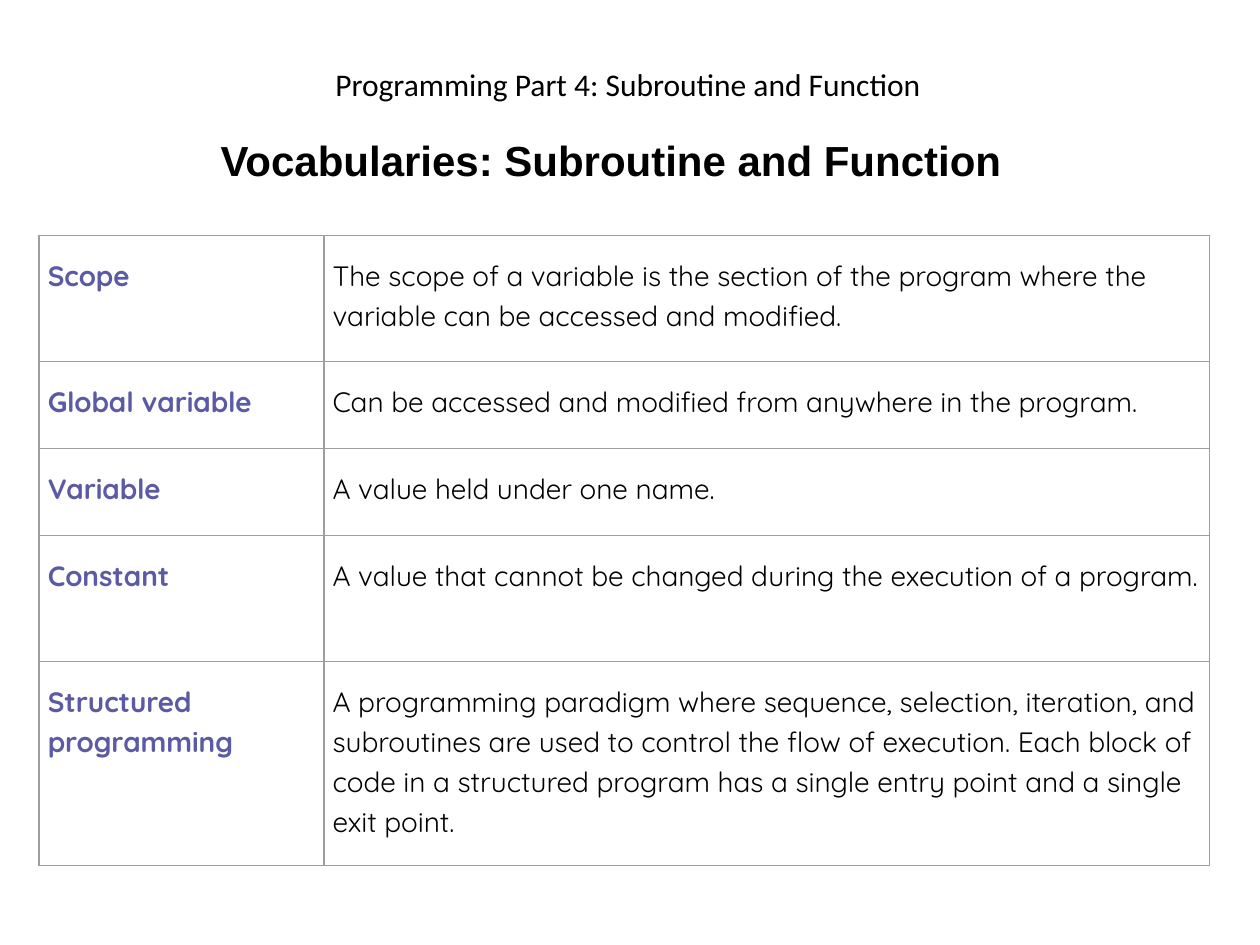
from typing import NamedTuple

from lxml.etree import SubElement
from pptx import Presentation
from pptx.dml.color import RGBColor
from pptx.enum.text import MSO_ANCHOR, PP_ALIGN
from pptx.oxml.ns import qn
from pptx.util import Inches, Pt

BLACK = RGBColor(0x00, 0x00, 0x00)
PURPLE = RGBColor(0x5B, 0x5B, 0xA5)
BORDER_GRAY = RGBColor(0x9E, 0x9E, 0x9E)

COLUMN_WIDTHS = (2.26, 7.03)


class Entry(NamedTuple):
    term: str
    definition: str
    height: float


ENTRIES = (
    Entry("Scope",
          "The scope of a variable is the section of the program where the "
          "variable can be accessed and modified.", 1),
    Entry("Global variable",
          "Can be accessed and modified from anywhere in the program.", 0.69),
    Entry("Variable", "A value held under one name.", 0.69),
    Entry("Constant",
          "A value that cannot be changed during the execution of a program.", 1),
    Entry("Structured programming",
          "A programming paradigm where sequence, selection, iteration, and "
          "subroutines are used to control the flow of execution. Each block of "
          "code in a structured program has a single entry point and a single "
          "exit point.", 1.62),
)


def write_text(frame, text: str, *, font: str, size: float, color=BLACK,
               bold=False, align=PP_ALIGN.LEFT, line_spacing=1.0) -> None:
    frame.word_wrap = True
    paragraph = frame.paragraphs[0]
    paragraph.alignment = align
    paragraph.line_spacing = line_spacing
    run = paragraph.add_run()
    run.text = text
    run.font.name = font
    run.font.size = Pt(size)
    run.font.bold = bold
    run.font.color.rgb = color


def add_borders(cell, color: RGBColor, width: float) -> None:
    """Outline all four sides; call before the fill, which must follow in the XML."""
    properties = cell._tc.get_or_add_tcPr()
    for side in ("a:lnL", "a:lnR", "a:lnT", "a:lnB"):
        line = SubElement(properties, qn(side), w=str(Pt(width)))
        fill = SubElement(line, qn("a:solidFill"))
        SubElement(fill, qn("a:srgbClr"), val=str(color))


def fill_cell(cell, text: str, color: RGBColor, bold: bool) -> None:
    add_borders(cell, BORDER_GRAY, 1)
    cell.fill.background()
    cell.margin_left = cell.margin_right = Inches(0.07)
    cell.margin_top = cell.margin_bottom = Inches(0.14)
    cell.vertical_anchor = MSO_ANCHOR.TOP
    write_text(cell.text_frame, text, font="Quicksand", size=16,
               color=color, bold=bold, line_spacing=1.15)


def add_title(slide) -> None:
    title = slide.shapes.title
    title.left, title.top = Inches(0.39), Inches(0.16)
    title.width, title.height = Inches(9.32), Inches(1.02)
    frame = title.text_frame
    frame.vertical_anchor = MSO_ANCHOR.MIDDLE
    frame.margin_left = frame.margin_top = frame.margin_bottom = Inches(0.1)
    frame.margin_right = Inches(0.23)
    write_text(frame, "Programming Part 4: Subroutine and Function",
               font="Calibri", size=18, align=PP_ALIGN.CENTER)


def add_heading(slide) -> None:
    heading = slide.shapes.add_textbox(
        Inches(1.02), Inches(1.02), Inches(7.66), Inches(0.5))
    heading.text_frame.vertical_anchor = MSO_ANCHOR.MIDDLE
    write_text(heading.text_frame, "Vocabularies: Subroutine and Function",
               font="Arial", size=24, bold=True, align=PP_ALIGN.CENTER)


def add_vocabulary(slide, entries: tuple[Entry, ...]) -> None:
    table = slide.shapes.add_table(
        len(entries), len(COLUMN_WIDTHS), Inches(0.31), Inches(1.87),
        Inches(sum(COLUMN_WIDTHS)),
        Inches(sum(entry.height for entry in entries))).table
    table.first_row = table.horz_banding = False
    for column, width in zip(table.columns, COLUMN_WIDTHS):
        column.width = Inches(width)
    for row, entry in zip(table.rows, entries):
        row.height = Inches(entry.height)
        term_cell, definition_cell = row.cells
        fill_cell(term_cell, entry.term, PURPLE, bold=True)
        fill_cell(definition_cell, entry.definition, BLACK, bold=False)


def main() -> None:
    presentation = Presentation()
    presentation.slide_width = Inches(10)
    presentation.slide_height = Inches(7.5)
    title_only = presentation.slide_layouts[5]
    slide = presentation.slides.add_slide(title_only)
    add_title(slide)
    add_heading(slide)
    add_vocabulary(slide, ENTRIES)
    presentation.save("out.pptx")


if __name__ == "__main__":
    main()
